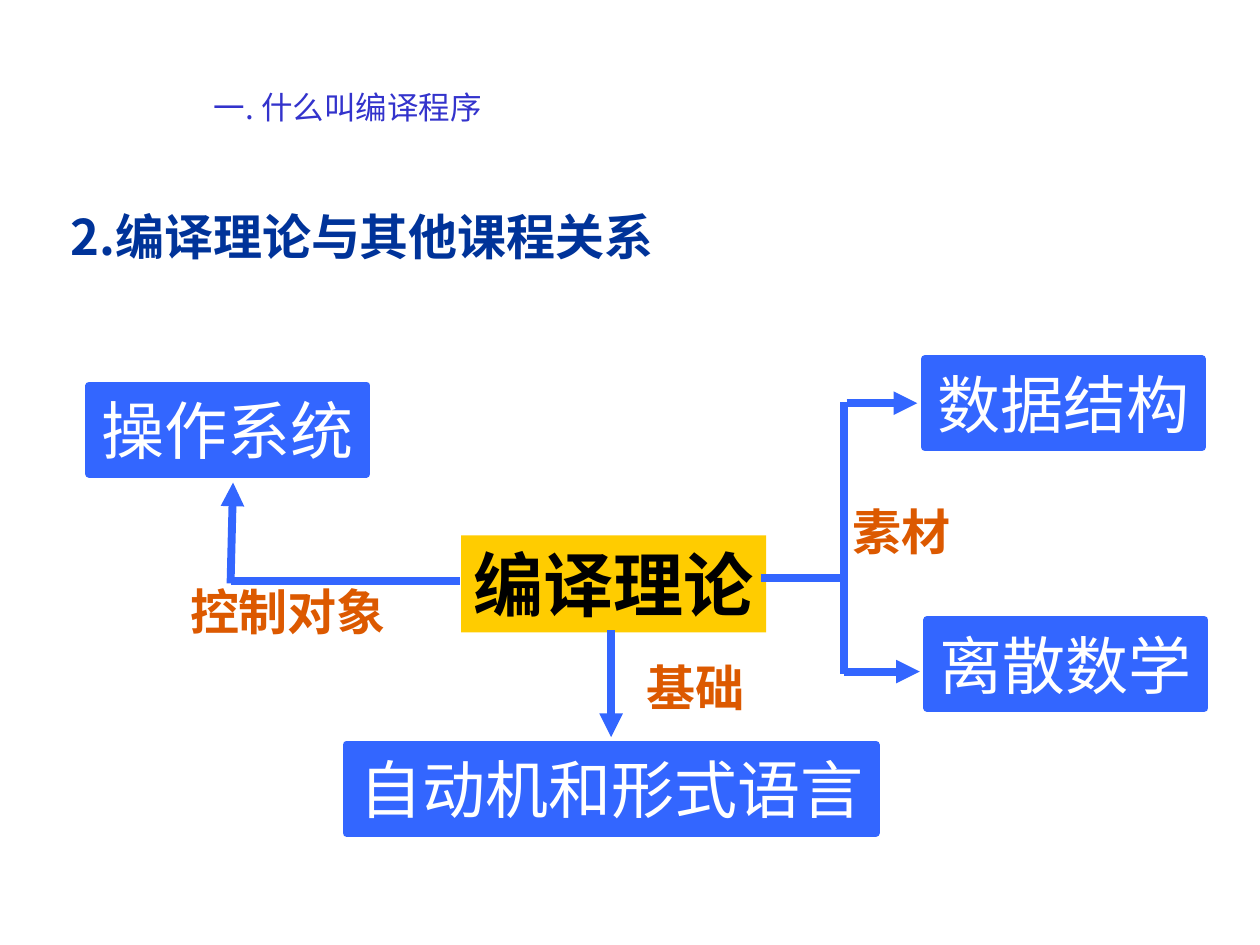
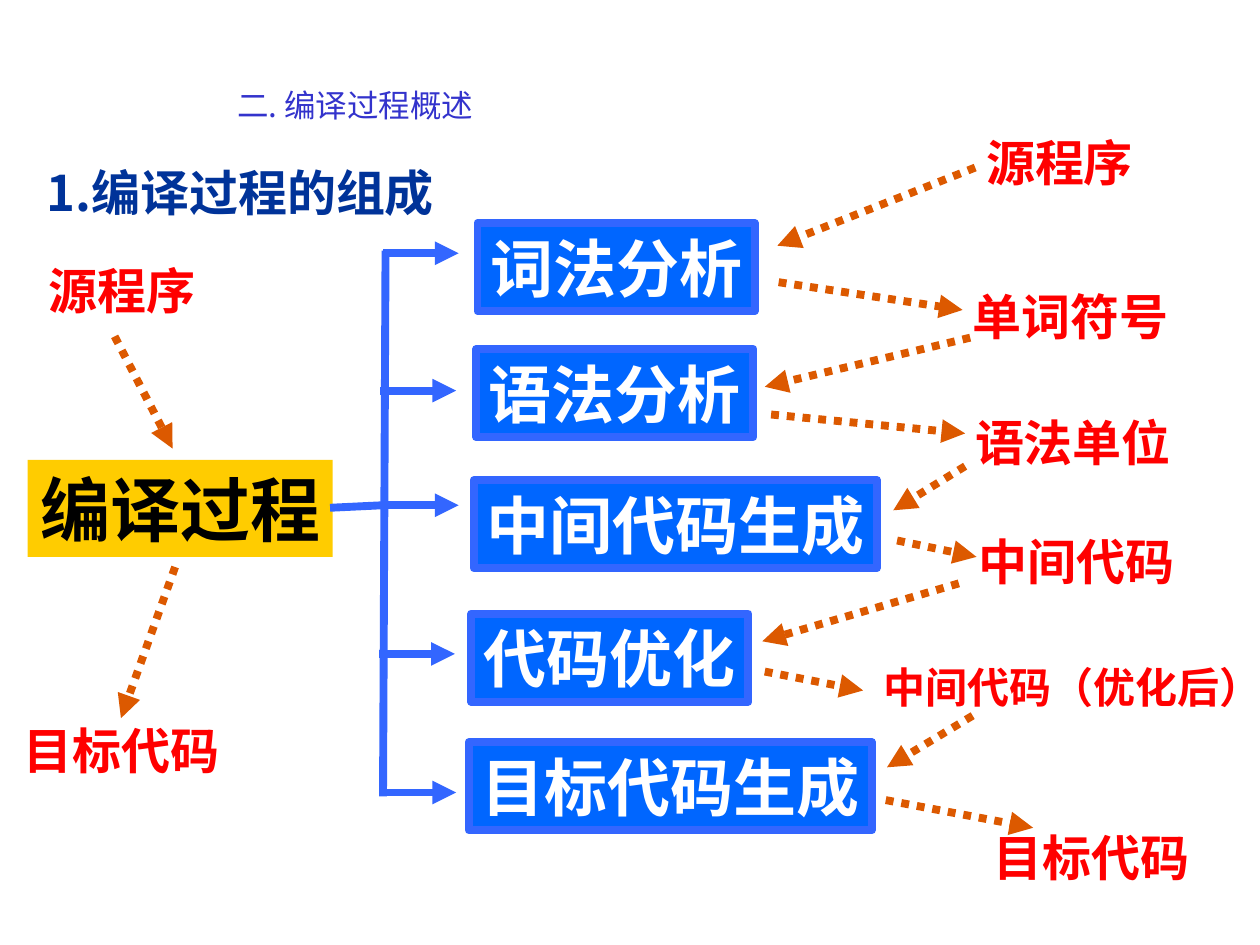
from dataclasses import dataclass
from typing import Any

from lxml import etree
from pptx import Presentation
from pptx.dml.color import RGBColor
from pptx.enum import dml, shapes, text
from pptx.oxml import ns
from pptx.util import Inches, Pt

FONT = "Noto Sans CJK SC"
HUES = {
    "title": "3333CC", "head": "003399", "core": "FFCC00", "line": "3366FF",
    "stage": "0066FF", "note": "DC5900", "item": "FF0000",
    "dark": "000000", "light": "FFFFFF",
}


def hue(name):
    """Return the named colour."""
    return RGBColor.from_string(HUES[name])


def write(shape, words, size, color, bold=False, align="CENTER", anchor="MIDDLE"):
    """Write one formatted run into a shape."""
    frame = shape.text_frame
    frame.auto_size = text.MSO_AUTO_SIZE.NONE
    frame.word_wrap = False
    frame.vertical_anchor = getattr(text.MSO_ANCHOR, anchor)
    para = frame.paragraphs[0]
    para.alignment = getattr(text.PP_ALIGN, align)
    para.space_before = Pt(0)
    run = para.add_run()
    run.text = words
    font = run.font
    font.size, font.bold, font.name = Pt(size), bold, FONT
    font.color.rgb = hue(color)
    etree.SubElement(font._element, ns.qn("a:ea"), typeface=FONT)


def place(shape, *box):
    """Move a placeholder to a box in inches."""
    shape.left, shape.top, shape.width, shape.height = map(Inches, box)


@dataclass
class Area:
    """A region of a slide with its own origin in inches."""
    slide: Any
    x: float
    y: float

    def spot(self, x, y):
        """Turn a local point into slide lengths."""
        return Inches(self.x + x), Inches(self.y + y)

    def box(self, words, x, y, w, fill="line", bold=False):
        """Add a framed box with light text."""
        shape = self.rect(x, y, w, 0.7, fill)
        shape.line.color.rgb = hue("line")
        shape.line.width = Pt(4.5)
        write(shape, words, 36, "light", bold)

    def core(self, words, x, y):
        """Add the yellow box of the main topic."""
        shape = self.rect(x, y, 2.42, 0.77, "core")
        shape.line.fill.background()
        write(shape, words, 40, "dark", True)

    def rect(self, x, y, w, h, fill):
        """Add a plain filled rectangle."""
        shape = self.slide.shapes.add_shape(
            shapes.MSO_SHAPE.RECTANGLE, *self.spot(x, y), Inches(w), Inches(h))
        shape.shadow.inherit = False
        shape.fill.solid()
        shape.fill.fore_color.rgb = hue(fill)
        return shape

    def label(self, words, x, y, w, color="item", h=0.57, size=28):
        """Add a bold label without a frame."""
        shape = self.slide.shapes.add_textbox(
            *self.spot(x, y), Inches(w), Inches(h))
        write(shape, words, size, color, True)

    def wire(self, x1, y1, x2, y2, arrow=False, color="line", dots=False):
        """Add a thick line, with an arrowhead at its end if asked."""
        wire = self.slide.shapes.add_connector(
            shapes.MSO_CONNECTOR.STRAIGHT, *self.spot(x1, y1), *self.spot(x2, y2))
        wire.line.color.rgb = hue(color)
        wire.line.width = Pt(4.5)
        if dots:
            wire.line.dash_style = dml.MSO_LINE.ROUND_DOT
        if arrow:
            etree.SubElement(wire.line._get_or_add_ln(), ns.qn("a:tailEnd"),
                             type="triangle")
        etree.SubElement(wire._element.spPr, ns.qn("a:effectLst"))

    def flow(self, *ends):
        """Add a dotted arrow."""
        self.wire(*ends, arrow=True, color="note", dots=True)


def start(deck, title, spot, head, box):
    """Add a slide with its section title and heading."""
    slide = deck.slides.add_slide(deck.slide_layouts[1])
    place(slide.shapes.title, *spot, 4.72, 0.5)
    write(slide.shapes.title, title, 18, "title", anchor="TOP")
    body = slide.placeholders[1]
    place(body, *box, 0.57)
    props = body.text_frame.paragraphs[0]._p.get_or_add_pPr()
    props.set("marL", "0")
    props.set("indent", "0")
    etree.SubElement(props, ns.qn("a:buNone"))
    write(body, head, 28, "head", True, "LEFT", "TOP")
    return slide


def links(area):
    """Draw how compiler theory relates to other courses."""
    area.core("编译理论", 2.96, 1.4)
    for words, x, y, w in (
            ("自动机和形式语言", 2.05, 3.06, 4.2), ("离散数学", 6.66, 2.07, 2.2),
            ("数据结构", 6.64, 0, 2.2), ("操作系统", 0.01, 0.21, 2.2)):
        area.box(words, x, y, w)
    for ends in ((2.95, 1.76, 1.13, 1.76), (5.34, 1.74, 6.02, 1.74),
                 (6, 0.34, 6, 2.5)):
        area.wire(*ends)
    for ends in ((4.15, 2.15, 4.15, 3), (1.13, 1.78, 1.15, 0.98),
                 (6.02, 0.35, 6.58, 0.35), (6, 2.48, 6.6, 2.48)):
        area.wire(*ends, arrow=True)
    for words, x, y, w in (("素材", 5.97, 1.08, 0.97), ("基础", 4.28, 2.32, 1.08),
                           ("控制对象", 0.71, 1.71, 1.75)):
        area.label(words, x, y, w, "note")


def whole(area):
    """Draw the whole process with its input and output."""
    area.core("编译过程", 0.22, 1.65)
    area.label("源程序", 0.29, 0.02, 1.36)
    area.label("目标代码", 0.09, 3.67, 1.75)
    area.flow(0.91, 0.67, 1.37, 1.56)
    area.flow(1.39, 2.5, 0.96, 3.7)


def stages(area):
    """Draw the five stages and the tree that leads to them."""
    for words, x, y, w in (
            ("词法分析", 1.19, 0.02, 2.2), ("语法分析", 1.18, 1.02, 2.2),
            ("中间代码生成", 1.16, 2.06, 3.2), ("代码优化", 1.14, 3.12, 2.2),
            ("目标代码生成", 1.12, 4.14, 3.2)):
        area.box(words, x, y, w, "stage", True)
    area.wire(0.02, 2.28, 0.44, 2.26)
    area.wire(0.44, 4.57, 0.46, 0.24)
    for x, y in ((0.44, 0.26), (0.42, 1.35), (0.44, 2.26), (0.41, 3.44), (0.42, 4.54)):
        area.wire(x, y, x + 0.6, y, arrow=True)


def items(area):
    """Draw what each stage takes in and gives out."""
    for words, x, y, w in (
            ("源程序", 1.73, 0, 1.36), ("单词符号", 1.62, 1.22, 1.75),
            ("语法单位", 1.64, 2.22, 1.75), ("中间代码", 1.67, 3.17, 1.75),
            ("目标代码", 1.79, 5.52, 1.75)):
        area.label(words, x, y, w)
    area.label("中间代码（优化后）", 0.91, 4.2, 3.2, h=0.5, size=24)
    takes = ((1.74, 0.33, 0.17, 0.95), (1.7, 1.68, 0.07, 2.07),
             (1.66, 2.7, 1.09, 3.05), (1.61, 3.63, 0.05, 4.09),
             (1.72, 4.68, 1.04, 5.09))
    gives = ((0.18, 1.24, 1.64, 1.46), (0.12, 2.29, 1.66, 2.44),
             (1.12, 3.29, 1.75, 3.42), (0.07, 4.33, 0.85, 4.48),
             (1.03, 5.35, 2.2, 5.57))
    for ends in takes + gives:
        area.flow(*ends)


def main():
    """Build both slides and save the deck."""
    deck = Presentation()
    deck.slide_width, deck.slide_height = Inches(10), Inches(7.5)
    slide = start(deck, "一. 什么叫编译程序", (0.4, 0.65),
                  "2.编译理论与其他课程关系", (0.46, 1.59, 4.95))
    links(Area(slide, 0.7, 2.85))
    slide = start(deck, "二. 编译过程概述", (0.46, 0.63),
                  "1.编译过程的组成", (0.27, 1.24, 3.4))
    whole(Area(slide, 0, 2))
    stages(Area(slide, 2.6, 1.75))
    items(Area(slide, 6, 1))
    deck.save("out.pptx")


if __name__ == "__main__":
    main()
